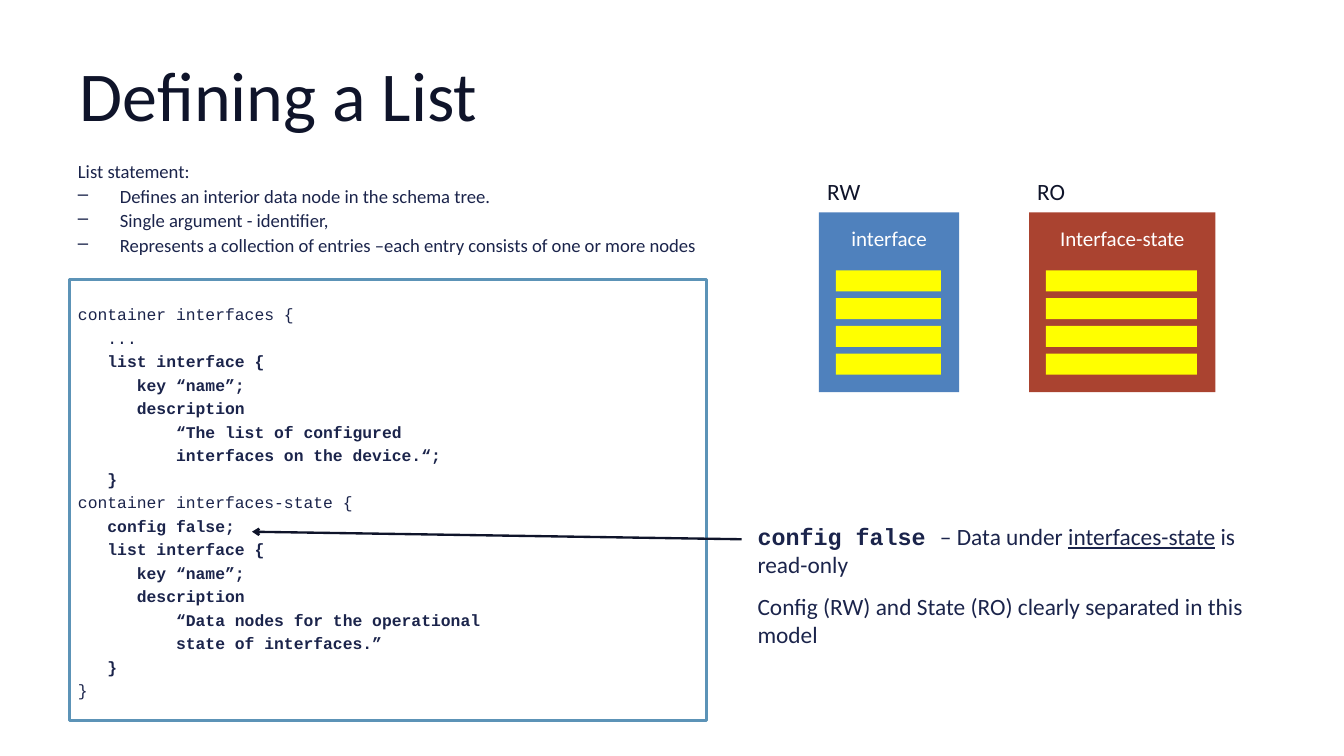
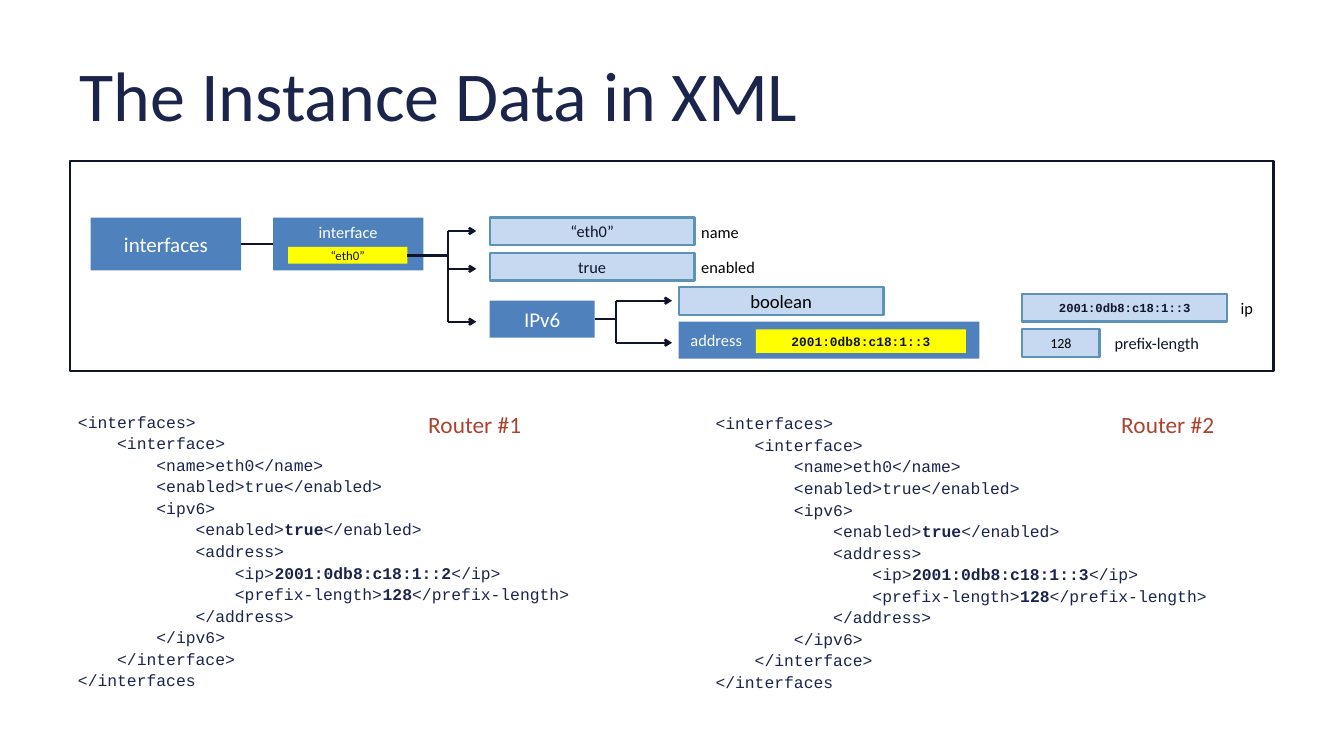
from pptx import Presentation
from pptx import util as u
from pptx.dml.color import RGBColor
from pptx.enum import shapes as s, text as t
from pptx.oxml.ns import qn
from lxml import etree

COLORS = {
    "ink": "0F142A", "navy": "1B244B", "blue": "4F81BD", "pale": "C6D9F1",
    "edge": "5C93B7", "yellow": "FFFF00", "rust": "AA4330",
    "white": "FFFFFF", "black": "000000",
}
BODY, MONO = "Calibri", "Courier New"
LEFT, CENTER = t.PP_ALIGN.LEFT, t.PP_ALIGN.CENTER
TOP, MIDDLE = t.MSO_ANCHOR.TOP, t.MSO_ANCHOR.MIDDLE

LIST_MODEL = """container interfaces {
   ...
*   list interface {*
*      key “name”;*
*      description*
*          “The list of configured*
*          interfaces on the device.“;*
*   }*
container interfaces-state {
*   config false;*
*   list interface {*
*      key “name”;*
*      description*
*          “Data nodes for the operational*
*          state of interfaces.”*
*   }*
}"""

ROUTER_XML = """<interfaces>
    <interface>
        <name>eth0</name>
        <enabled>true</enabled>
        <ipv6>
            <enabled>*true*</enabled>
            <address>
                <ip>*{ip}*</ip>
                <prefix-length>*128*</prefix-length>
            </address>
        </ipv6>
    </interface>
</interfaces"""


def rgb(name):
    return RGBColor.from_string(COLORS[name])


def inches(*values):
    return [u.Inches(value) for value in values]


def style_run(run, size, color, font=BODY, bold=False):
    run.font.size = u.Pt(size)
    run.font.name = font
    run.font.bold = bold
    run.font.color.rgb = rgb(color)


def write(shape, content, size, color, font=BODY, bold=False, align=LEFT,
          anchor=TOP, wrap=True, spacing=None):
    """Fill a shape line by line; parts between asterisks are bold."""
    frame = shape.text_frame
    frame.word_wrap = wrap
    frame.auto_size = t.MSO_AUTO_SIZE.NONE
    frame.vertical_anchor = anchor
    for index, line in enumerate(content.split("\n")):
        paragraph = frame.add_paragraph() if index else frame.paragraphs[0]
        paragraph.alignment = align
        if spacing:
            paragraph.line_spacing = spacing
        for position, part in enumerate(line.split("*")):
            if part:
                run = paragraph.add_run()
                run.text = part
                style_run(run, size, color, font, bold or position % 2 == 1)


def add_text(shapes, box, content, size, color, **options):
    shape = shapes.add_textbox(*inches(*box))
    write(shape, content, size, color, **options)
    return shape


def add_label(shapes, left, top, content, size=14, color="black", width=1.3):
    add_text(shapes, (left, top, width, 0.34), content, size, color, wrap=False)


def add_box(shapes, box, fill=None, line=None, weight=2):
    shape = shapes.add_shape(s.MSO_SHAPE.RECTANGLE, *inches(*box))
    shape.shadow.inherit = False
    if fill:
        shape.fill.solid()
        shape.fill.fore_color.rgb = rgb(fill)
    else:
        shape.fill.background()
    if line:
        shape.line.color.rgb = rgb(line)
        shape.line.width = u.Pt(weight)
    else:
        shape.line.fill.background()
    return shape


def add_node(shapes, box, content, size, fill="blue", color="white",
             line=None, align=CENTER, anchor=MIDDLE, **options):
    shape = add_box(shapes, box, fill, line)
    write(shape, content, size, color, align=align, anchor=anchor, **options)
    return shape


def add_value(shapes, box, content, size, color="ink", **options):
    return add_node(shapes, box, content, size, "pale", color, "edge", **options)


def add_line(shapes, start, end, arrow=False, source=None, target=None):
    """Draw a line, joined to the right of source and the left of target."""
    line = shapes.add_connector(s.MSO_CONNECTOR.STRAIGHT, *inches(*start, *end))
    if source:
        line.begin_connect(source, 3)
    if target:
        line.end_connect(target, 1)
    line.line.color.rgb = rgb("ink")
    line.line.width = u.Pt(2)
    if arrow:
        etree.SubElement(line.line._get_or_add_ln(), qn("a:tailEnd"), type="arrow")
    etree.SubElement(line._element.spPr, qn("a:effectLst"))
    return line


def add_dash_bullet(paragraph):
    properties = paragraph._p.get_or_add_pPr()
    properties.set("marL", str(u.Inches(0.5)))
    properties.set("indent", str(-u.Inches(0.5)))
    etree.SubElement(properties, qn("a:buChar"), char="–")


def new_slide(presentation, title, color):
    slide = presentation.slides.add_slide(presentation.slide_layouts[5])
    shape = slide.shapes.title
    shape.left, shape.top, shape.width, shape.height = inches(0.8, 0.36, 14.4, 1.5)
    frame = shape.text_frame
    frame.margin_left = frame.margin_right = u.Inches(0.15)
    frame.margin_top = frame.margin_bottom = u.Inches(0.08)
    write(shape, title, 60, color, anchor=MIDDLE)
    return slide


def add_list_card(shapes, left, width, access, name, fill):
    """Card for a list node, with four entries, under its access mode."""
    card = shapes.add_group_shape().shapes
    add_box(card, (left, 2.53, width, 2.14), fill)
    add_text(card, (left, 2.63, width, 0.4), name, 18, "white", align=CENTER)
    for row in range(4):
        add_box(card, (left + 0.2, 3.22 + 0.33 * row, width - 0.42, 0.25), "yellow")
    add_label(shapes, left, 2.06, access, 20, "ink", 0.67)


def add_router(shapes, left, top, label_left, number, ip):
    add_text(shapes, (left, top, 6.5, 3.47), ROUTER_XML.format(ip=ip),
             14, "navy", font=MONO, spacing=1.1)
    add_label(shapes, label_left, 4.83, f"Router #{number}", 20, "rust")


def build_list_slide(presentation):
    shapes = new_slide(presentation, "Defining a List", "ink").shapes

    note = add_text(shapes, (8.92, 6.17, 6.46, 0.77), "*config false *",
                    20, "navy", font=MONO)
    for part in ("– Data under ", "interfaces-state", " is read-only"):
        run = note.text_frame.paragraphs[0].add_run()
        run.text = part
        style_run(run, 20, "navy")
        run.font.underline = part == "interfaces-state"
    add_text(shapes, (8.92, 7, 6.06, 0.77),
             "Config (RW) and State (RO) clearly separated in this model", 20, "navy")

    statement = add_text(
        shapes, (0.83, 1.83, 7.83, 1.28),
        "List statement:\n"
        "Defines an interior data node in the schema tree.\n"
        "Single argument - identifier,\n"
        "Represents a collection of entries –each entry consists of one or more nodes",
        16, "navy", spacing=1.1)
    for paragraph in statement.text_frame.paragraphs[1:]:
        add_dash_bullet(paragraph)

    add_list_card(shapes, 9.75, 1.67, "RW", "interface", "blue")
    add_list_card(shapes, 12.25, 2.22, "RO", "Interface-state", "rust")

    code = add_box(shapes, (0.83, 3.33, 7.58, 5.25), line="edge", weight=2.25)
    write(code, LIST_MODEL, 14, "navy", font=MONO, anchor=MIDDLE, spacing=1.2)
    add_line(shapes, (8.83, 6.42), (3, 6.33), arrow=True)


def add_instance_tree(shapes):
    add_box(shapes, (0.83, 1.92, 14.33, 2.5), "white", "ink")
    ip = "2001:0db8:c18:1::3"

    interfaces = add_node(shapes, (1.08, 2.59, 1.79, 0.63), "interfaces", 18)
    interface = add_node(shapes, (3.25, 2.59, 1.79, 0.63), "interface", 14, anchor=TOP)
    key = add_node(shapes, (3.43, 2.94, 1.42, 0.2), "“eth0”", 11, "yellow", "ink")
    ipv6 = add_node(shapes, (5.83, 3.58, 1.25, 0.44), "IPv6", 18)
    address = add_node(shapes, (8.08, 3.83, 3.58, 0.44), "address", 14, align=LEFT)
    address.text_frame.margin_left = u.Inches(0.14)
    add_node(shapes, (9, 3.92, 2.5, 0.28), ip, 11, "yellow", "ink",
             font=MONO, bold=True)

    for top, value, name in ((2.59, "“eth0”", "name"), (3.01, "true", "enabled")):
        add_value(shapes, (5.83, top, 2.44, 0.33), value, 14)
        add_label(shapes, 8.25, top, name)
    add_value(shapes, (8.08, 3.42, 2.44, 0.33), "boolean", 16, "black")
    add_value(shapes, (12.17, 3.5, 2.44, 0.33), ip, 10.5, font=MONO, bold=True)
    add_label(shapes, 14.67, 3.5, "ip", width=0.35)
    add_value(shapes, (12.17, 3.92, 0.92, 0.33), "128", 12, "black")
    add_label(shapes, 13.17, 3.92, "prefix-length", color="ink")

    add_line(shapes, (2.87, 2.9), (3.25, 2.9), source=interfaces, target=interface)
    for source, start, trunk, tip, branches in (
            (key, (4.85, 3.04), 5.33, 5.67, (2.75, 3.2, 3.83)),
            (ipv6, (7.08, 3.8), 7.33, 8, (3.58, 4.08))):
        add_line(shapes, start, (trunk, start[1]), source=source)
        add_line(shapes, (trunk, branches[0]), (trunk, branches[-1]))
        for y in branches:
            add_line(shapes, (trunk, y), (tip, y), arrow=True)


def build_instance_slide(presentation):
    shapes = new_slide(presentation, "The Instance Data in XML", "navy").shapes
    add_instance_tree(shapes)
    add_router(shapes, 0.83, 4.83, 5, 1, "2001:0db8:c18:1::2")
    add_router(shapes, 8.42, 4.85, 13.25, 2, "2001:0db8:c18:1::3")


def main():
    presentation = Presentation()
    presentation.slide_width, presentation.slide_height = inches(16, 9)
    build_list_slide(presentation)
    build_instance_slide(presentation)
    presentation.save("out.pptx")


if __name__ == "__main__":
    main()
